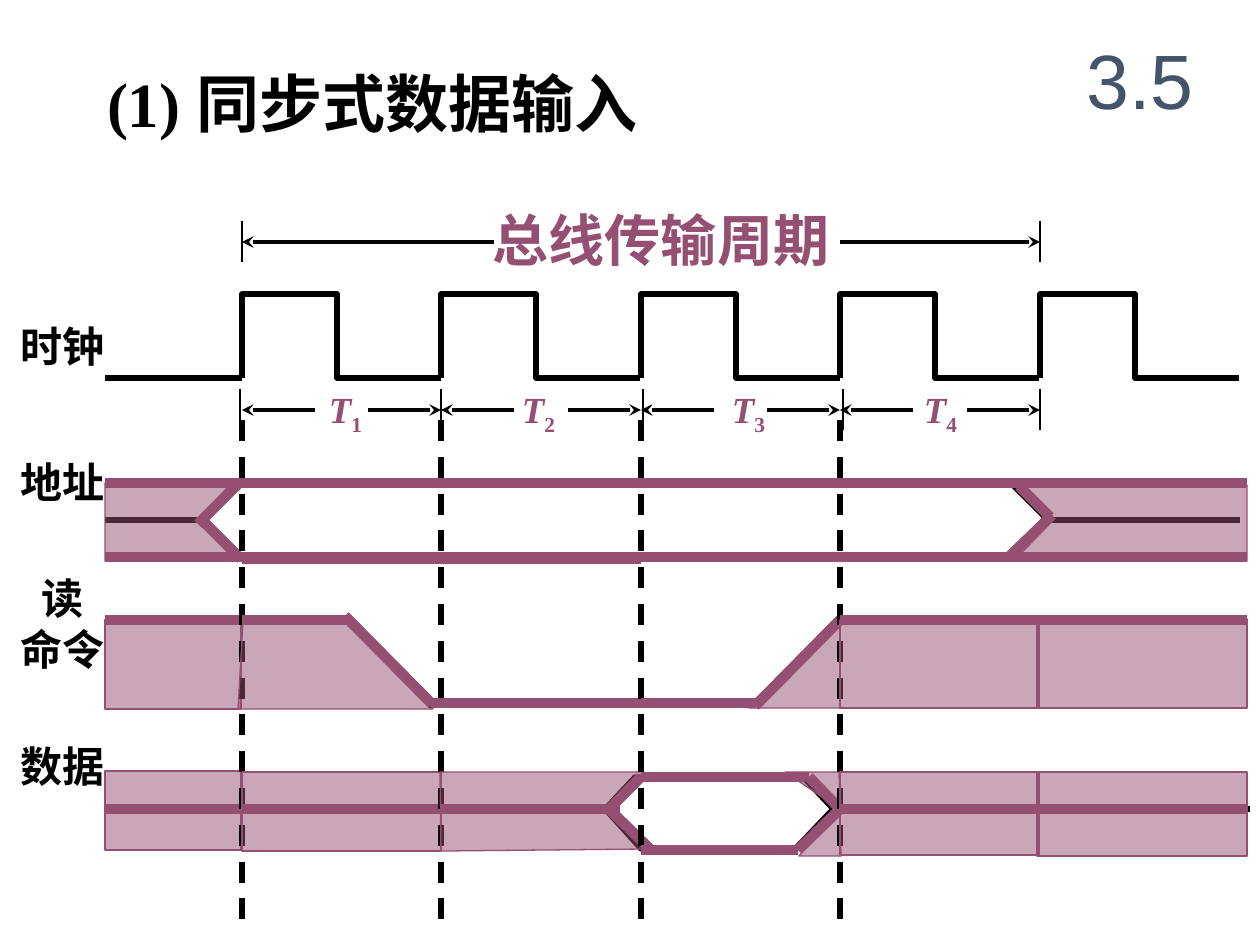
"""Build the timing diagram slide for synchronous data input."""
from lxml.etree import SubElement
from pptx import Presentation
from pptx.dml.color import RGBColor
from pptx.enum.dml import MSO_LINE
from pptx.enum.shapes import MSO_CONNECTOR, MSO_SHAPE
from pptx.enum.text import MSO_ANCHOR, MSO_AUTO_SIZE, PP_ALIGN
from pptx.oxml.ns import qn
from pptx.util import Pt

EMU = 914400 / 126
BLACK, PLUM, SLATE = "000000", "954F72", "44546A"
SERIF, SANS, CJK = "Times New Roman", "Arial", "Noto Sans CJK SC"

TITLE = "(1) 同步式数据输入"
SECTION = "3.5"
CYCLE = "总线传输周期"
ROW_LABELS = [
    (10, 315, 63, [("时钟", 0)]),
    (10, 451, 63, [("地址", 0)]),
    (10, 567, 113, [("读", 21), ("命令", 0)]),
    (10, 735, 63, [("数据", 0)]),
]
STATE_LEFTS = [329, 522, 732, 924]

LEFT, RIGHT = 105, 1247
BEATS = [242, 441, 641, 840, 1040]
TICKS = [240, 441, 643, 843, 1040]
CLOCK_HIGH, CLOCK_LOW, PULSE, PERIOD = 294, 378, 95, 199
CYCLE_Y, STATE_Y = 242, 410
ADDR_TOP, ADDR_MID, ADDR_LOW = 483, 520, 557
READ_TOP, READ_LOW = 620, 703
DATA_TOP, DATA_MID, DATA_LOW = 777, 809, 850
ADDRESS = (ADDR_TOP, ADDR_LOW)
IDLE = ADDRESS + (READ_TOP, DATA_MID)

OUTLINES = [
    ([(241, 483), (204, 520), (242, 558), (1010, 558), (1047, 520), (1010, 483)], 2.5),
    ([(605, 809), (635, 777), (803, 777), (833, 809), (795, 849), (641, 849)], 3),
]
SIGNALS = [
    (210, ADDR_MID, LEFT, ADDR_MID), (1050, ADDR_MID, 1240, ADDR_MID),
    (LEFT, READ_TOP, 351, READ_TOP), (345, 619, 432, 707),
    (431, READ_LOW, 756, READ_LOW), (840, 617, 753, 706),
    (840, READ_TOP, 1240, READ_TOP),
    (LEFT, DATA_MID, 605, DATA_MID), (833, DATA_MID, 1250, DATA_MID),
]
SEGMENTS = [
    dict(rails=IDLE,
         rects=[(105, 620, 136, 89), (105, 771, 136, 79)],
         polys=[[(204, 525), (232, 484), (105, 483), (105, 561), (239, 561)]],
         lines=[(241, 559, 200, 518), (238, 484, 198, 524)]),
    dict(rails=ADDRESS + (DATA_MID,), thin=(485, 561),
         rects=[(242, 772, 199, 79)],
         polys=[[(238, 709), (433, 709), (348, 620), (243, 622)]],
         lines=[(242, 620, 347, 620), (432, 704, 345, 616)]),
    dict(rails=ADDRESS, thin=(485, 561),
         polys=[[(440, 772), (644, 772), (609, 809), (644, 849), (441, 851)]],
         lines=[(441, 809, 620, 809), (431, 703, 646, 703),
                (609, 809, 641, 777), (609, 809, 651, 850)]),
    dict(rails=ADDRESS,
         polys=[[(748, 708), (840, 708), (840, 614)],
                [(840, 809), (785, 772), (839, 772), (841, 856), (799, 856)]],
         lines=[(641, READ_LOW, 756, READ_LOW), (843, 617, 755, 706),
                (641, DATA_TOP, 809, DATA_TOP), (641, DATA_LOW, 798, DATA_LOW),
                (798, 850, 840, 809), (809, 777, 840, 809)]),
    dict(rails=IDLE,
         rects=[(840, 620, 199, 88), (840, 772, 199, 83)],
         lines=[(1052, 515, 1012, 556), (1050, 517, 1019, 486)]),
    dict(rails=IDLE,
         rects=[(1037, 619, 210, 89), (1037, 772, 210, 84)],
         polys=[[(1016, 483), (1247, 485), (1247, 561), (998, 561), (1047, 514)]]),
]


def px(v):
    return round(v * EMU)


def rgb(value):
    return RGBColor.from_string(value)


def style_line(ln, color, width):
    ln.color.rgb = rgb(color)
    ln.width = Pt(width)


def line(x1, y1, x2, y2, color=BLACK, width=3, dash=None, arrow=None):
    c = s.shapes.add_connector(MSO_CONNECTOR.STRAIGHT, px(x1), px(y1), px(x2), px(y2))
    style_line(c.line, color, width)
    if dash:
        c.line.dash_style = dash
    if arrow:
        SubElement(c.line._get_or_add_ln(), qn(f"a:{arrow}"), type="stealth")
    SubElement(c._element.spPr, qn("a:effectLst"))


def polygon(points, close=True):
    fb = s.shapes.build_freeform(*points[0], scale=EMU)
    fb.add_line_segments(points[1:], close=close)
    return fb.convert_to_shape()


def outline(points, width=3, close=True):
    sp = polygon(points, close)
    sp.shadow.inherit = False
    sp.fill.background()
    style_line(sp.line, BLACK, width)


def shade(sp):
    sp.shadow.inherit = False
    sp.fill.solid()
    sp.fill.fore_color.rgb = rgb(PLUM)
    clr = sp._element.spPr.find(qn("a:solidFill")).find(qn("a:srgbClr"))
    SubElement(clr, qn("a:alpha"), val="50000")
    style_line(sp.line, PLUM, 0.75)


def place(sp, left, top, width, height):
    sp.left, sp.top, sp.width, sp.height = map(px, (left, top, width, height))


def frame(sp, margins=(13, 6, 13, 6), wrap=True, anchor=MSO_ANCHOR.TOP):
    tf = sp.text_frame
    sides = ("margin_left", "margin_top", "margin_right", "margin_bottom")
    values = dict(zip(sides, map(px, margins)), word_wrap=wrap,
                  auto_size=MSO_AUTO_SIZE.NONE, vertical_anchor=anchor)
    for key, value in values.items():
        setattr(tf, key, value)
    return tf


def textbox(left, top, width, height, **fmt):
    box = map(px, (left, top, width, height))
    return frame(s.shapes.add_textbox(*box), **fmt)


def run(p, text, size, color=BLACK, name=SERIF, bold=True, italic=False):
    r = p.add_run()
    r.text = text
    for key, value in dict(size=Pt(size), name=name, bold=bold, italic=italic).items():
        setattr(r.font, key, value)
    r.font.color.rgb = rgb(color)
    return r


prs = Presentation()
prs.slide_width, prs.slide_height = px(1260), px(945)
s = prs.slides.add_slide(prs.slide_layouts[5])

title = s.shapes.title
place(title, 94, 59, 651, 88)
p = frame(title).paragraphs[0]
p.alignment = PP_ALIGN.LEFT
run(p, TITLE, 36)

p = textbox(1061, 21, 158, 116, anchor=MSO_ANCHOR.MIDDLE).paragraphs[0]
p.alignment = PP_ALIGN.CENTER
run(p, SECTION, 44, SLATE, SANS, bold=False)

flush = dict(margins=(0, 0, 0, 0), wrap=False)
run(textbox(493, 205, 338, 67, **flush).paragraphs[0], CYCLE, 32, PLUM, CJK)
line(BEATS[0], CYCLE_Y, 494, CYCLE_Y, width=2.25, arrow="headEnd")
line(840, CYCLE_Y, BEATS[-1], CYCLE_Y, width=2.25, arrow="tailEnd")
for x, y in [(BEATS[0], 221), (BEATS[-1], 221)] + [(x, 389) for x in TICKS]:
    line(x, y, x, y + 41, width=1.25)

line(BEATS[0], CLOCK_LOW, LEFT, CLOCK_LOW)
for x in BEATS:
    outline([(x, CLOCK_LOW), (x, CLOCK_HIGH), (x + PULSE, CLOCK_HIGH),
             (x + PULSE, CLOCK_LOW), (x + PERIOD, CLOCK_LOW)], close=False)

for i, (left, start, end) in enumerate(zip(STATE_LEFTS, BEATS, BEATS[1:]), 1):
    p = textbox(left, 387, 35, 44, **flush).paragraphs[0]
    run(p, "T", 21, PLUM, italic=True)
    run(p, str(i), 21, PLUM).font._element.set("baseline", "-25000")
    line(start, STATE_Y, start + 73, STATE_Y, width=2.25, arrow="headEnd")
    line(end - 73, STATE_Y, end, STATE_Y, width=2.25, arrow="tailEnd")

for left, top, height, rows in ROW_LABELS:
    tf = textbox(left, top, 126, height, margins=(11, 6, 13, 6))
    for i, (text, indent) in enumerate(rows):
        p = tf.add_paragraph() if i else tf.paragraphs[0]
        p._p.get_or_add_pPr().set("marL", str(px(indent)))
        run(p, text, 24)

for points, width in OUTLINES:
    outline(points, width)
for ends in SIGNALS:
    line(*ends)

edges = [LEFT, *BEATS, RIGHT]
for seg, start, end in zip(SEGMENTS, edges, edges[1:]):
    for box in seg.get("rects", []):
        shade(s.shapes.add_shape(MSO_SHAPE.RECTANGLE, *map(px, box)))
    for points in seg.get("polys", []):
        shade(polygon(points))
    for y in seg.get("thin", []):
        line(start, y, end, y, PLUM, 3)
    for y in seg["rails"]:
        line(start, y, end, y, PLUM, 6)
    for ends in seg.get("lines", []):
        line(*ends, PLUM, 6)
    if end in BEATS[:-1]:
        line(end, 420, end, 935, dash=MSO_LINE.DASH)

prs.save("out.pptx")
